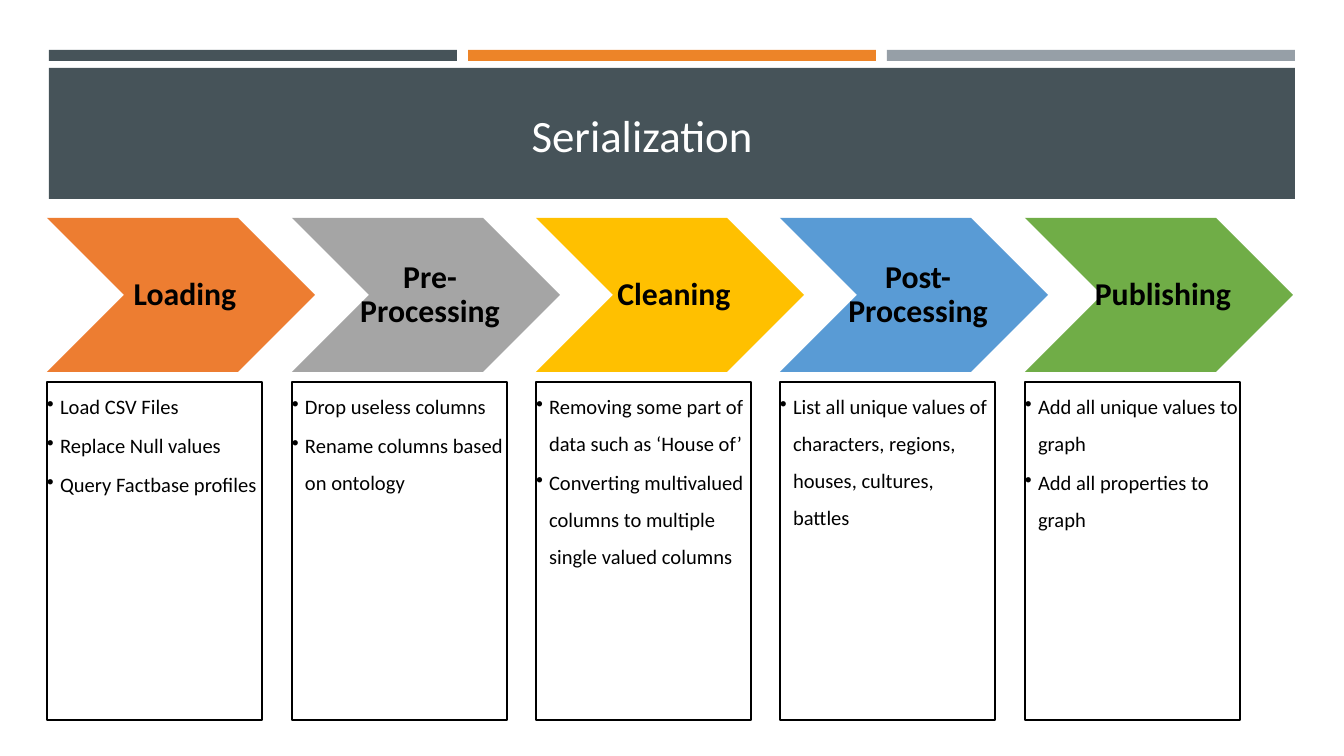
from dataclasses import dataclass

from lxml import etree
from pptx import Presentation
from pptx import util as u
from pptx.dml.color import RGBColor
from pptx.enum import shapes, text
from pptx.oxml.ns import qn

EMU_PER_PX = 914400 / 134.4


@dataclass(frozen=True)
class Theme:
    font: str = "Calibri"
    slate: str = "465359"
    orange: str = "ED8428"
    silver: str = "969FA7"
    ink: str = "000000"
    paper: str = "FFFFFF"
    title_size: int = 24
    stage_size: int = 17
    task_size: int = 11


THEME = Theme()

STAGES = [
    ("Loading", "ED7D31",
     ["Load CSV Files", "Replace Null values", "Query Factbase profiles"]),
    ("Pre-Processing", "A5A5A5",
     ["Drop useless columns", "Rename columns based on ontology"]),
    ("Cleaning", "FFC000",
     ["Removing some part of data such as ‘House of’",
      "Converting multivalued columns to multiple single valued columns"]),
    ("Post-Processing", "599BD5",
     ["List all unique values of characters, regions, houses, cultures, battles"]),
    ("Publishing", "70AD47",
     ["Add all unique values to graph", "Add all properties to graph"]),
]
FIRST_STAGE, LAST_STAGE = 47, 1025


def px(length):
    return u.Emu(round(length * EMU_PER_PX))


def place(*box):
    return [px(length) for length in box]


def add_block(slide, kind, box, fill=None, line=None):
    block = slide.shapes.add_shape(kind, *place(*box))
    block.shadow.inherit = False
    if fill:
        block.fill.solid()
        block.fill.fore_color.rgb = RGBColor.from_string(fill)
    else:
        block.fill.background()
    if line:
        block.line.color.rgb = RGBColor.from_string(line)
        block.line.width = u.Pt(0.75)
    else:
        block.line.fill.background()
    return block


def set_frame(frame, anchor, insets):
    frame.word_wrap = True
    frame.auto_size = text.MSO_AUTO_SIZE.NONE
    frame.vertical_anchor = anchor
    (frame.margin_left, frame.margin_top,
     frame.margin_right, frame.margin_bottom) = place(*insets)


def add_run(paragraph, words, size, color, bold=False):
    run = paragraph.add_run()
    run.text = words
    run.font.name = THEME.font
    run.font.size = u.Pt(size)
    run.font.bold = bold
    run.font.color.rgb = RGBColor.from_string(color)


def add_bullet(paragraph):
    properties = paragraph._p.get_or_add_pPr()
    properties.set("marL", str(px(13)))
    properties.set("indent", str(px(-13)))
    etree.SubElement(properties, qn("a:buChar")).set("char", "•")


def add_header(slide):
    for column, color in enumerate([THEME.slate, THEME.orange, THEME.silver]):
        add_block(slide, shapes.MSO_SHAPE.RECTANGLE,
                  (49 + 419 * column, 50, 408, 11), color)
    add_block(slide, shapes.MSO_SHAPE.RECTANGLE, (49, 68, 1246, 131), THEME.slate)


def add_title(slide, words):
    title = slide.shapes.title
    title.left, title.top, title.width, title.height = place(34, 54, 1216, 112)
    set_frame(title.text_frame, text.MSO_ANCHOR.BOTTOM, (9, 5, 9, 5))
    heading = title.text_frame.paragraphs[0]
    heading.alignment = text.PP_ALIGN.CENTER
    add_run(heading, words, THEME.title_size, THEME.paper)
    title.element.getparent().append(title.element)


def add_stage(slide, left, name, color):
    chevron = add_block(slide, shapes.MSO_SHAPE.CHEVRON, (left, 218, 268, 154), color)
    chevron.adjustments[0] = 0.5
    label = slide.shapes.add_textbox(*place(left + 54, 218, 161, 154))
    set_frame(label.text_frame, text.MSO_ANCHOR.MIDDLE, (11, 4, 4, 4))
    caption = label.text_frame.paragraphs[0]
    caption.alignment = text.PP_ALIGN.CENTER
    caption.line_spacing = 0.9
    add_run(caption, name, THEME.stage_size, THEME.ink, bold=True)


def add_tasks(slide, left, tasks):
    panel = add_block(slide, shapes.MSO_SHAPE.RECTANGLE,
                      (left, 382, 215, 338), line=THEME.ink)
    frame = panel.text_frame
    set_frame(frame, text.MSO_ANCHOR.TOP, (0, 0, 0, 0))
    for position, task in enumerate(tasks):
        item = frame.add_paragraph() if position else frame.paragraphs[0]
        item.alignment = text.PP_ALIGN.LEFT
        item.line_spacing = 1.5
        item.space_before = u.Pt(1 if position else 0)
        add_bullet(item)
        add_run(item, task, THEME.task_size, THEME.ink)


def main():
    deck = Presentation()
    deck.slide_width, deck.slide_height = place(1344, 756)
    slide = deck.slides.add_slide(deck.slide_layouts.get_by_name("Title Only"))
    add_header(slide)
    add_title(slide, "Serialization")
    pitch = (LAST_STAGE - FIRST_STAGE) / (len(STAGES) - 1)
    for column, (name, color, tasks) in enumerate(STAGES):
        left = round(FIRST_STAGE + pitch * column)
        add_stage(slide, left, name, color)
        add_tasks(slide, left, tasks)
    deck.save("out.pptx")


if __name__ == "__main__":
    main()
